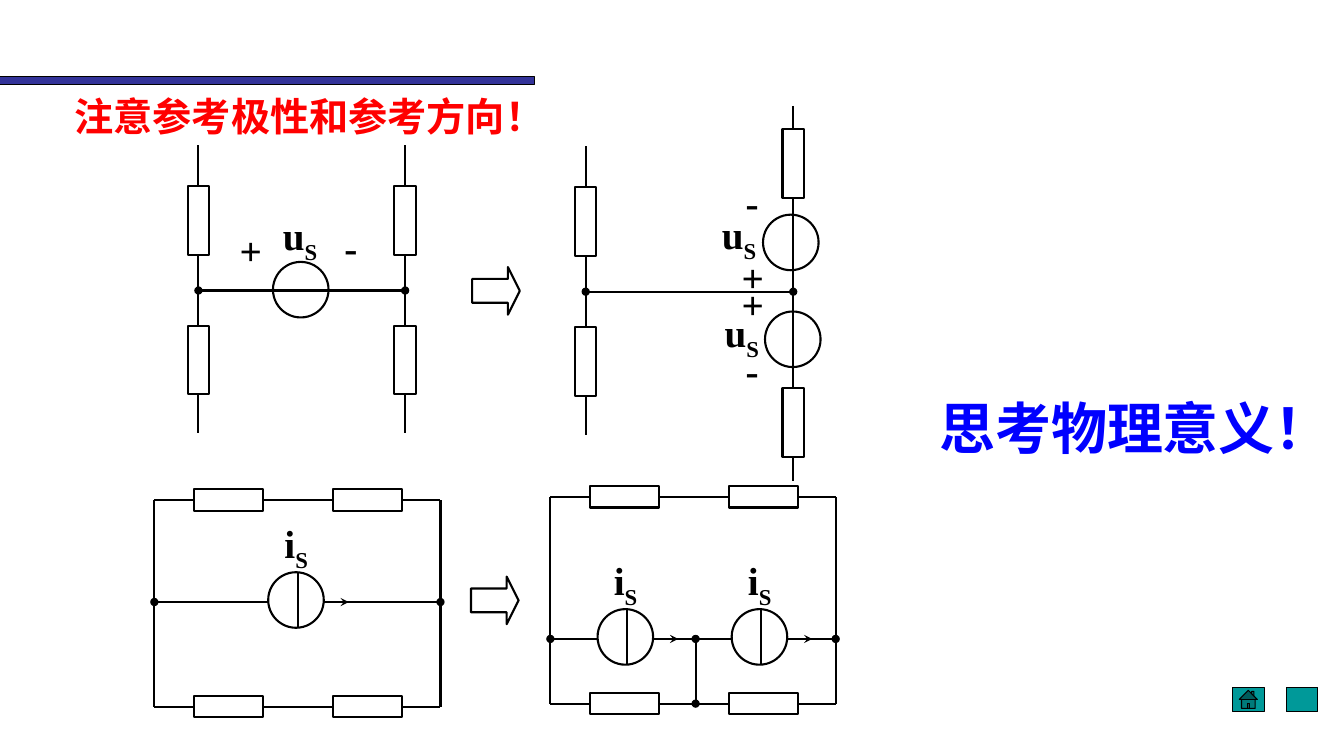
from collections import namedtuple

from lxml.etree import SubElement
from pptx import Presentation
from pptx.dml.color import RGBColor
from pptx.enum.shapes import MSO_CONNECTOR as Link, MSO_SHAPE as Form
from pptx.enum.text import MSO_AUTO_SIZE as Fit
from pptx.oxml.ns import qn
from pptx.util import Cm, Pt

BLACK = RGBColor(0, 0, 0)
RED = RGBColor(0xFF, 0, 0)
BLUE = RGBColor(0, 0, 0xFF)
NAVY = RGBColor(0x33, 0x33, 0x99)
TEAL = RGBColor(0, 0x99, 0x99)
LATIN_FONT = "Times New Roman"
CHINESE_FONT = "Noto Sans CJK SC"

LONG, SHORT = 1.73, 0.54
RADIUS = 0.7
NODE = 3.66

Box = namedtuple("Box", "left top width height")


def add_form(shapes, form, box, fill=None, line_width=1.5):
    shape = shapes.add_shape(form, *map(Cm, box))
    shape.shadow.inherit = False
    if fill is None:
        shape.fill.background()
    else:
        shape.fill.solid()
        shape.fill.fore_color.rgb = fill
    shape.line.color.rgb = BLACK
    shape.line.width = Pt(line_width)
    return shape


def add_wire(shapes, x1, y1, x2, y2, head=None, tail=None):
    wire = shapes.add_connector(Link.STRAIGHT, *map(Cm, (x1, y1, x2, y2)))
    wire.line.color.rgb = BLACK
    wire.line.width = Pt(1.5)
    line = wire.line._get_or_add_ln()
    for tag, end in (("a:headEnd", head), ("a:tailEnd", tail)):
        if end:
            SubElement(line, qn(tag)).set("type", end)
    SubElement(wire._element.spPr, qn("a:effectLst"))


def add_text(shapes, box, text, size, color, font, subscript="", wrap=True):
    frame = shapes.add_textbox(*map(Cm, box)).text_frame
    frame.word_wrap = wrap
    frame.auto_size = Fit.SHAPE_TO_FIT_TEXT
    para = frame.paragraphs[0]
    para.font.size = Pt(size)
    para.font.bold = True
    para.font.color.rgb = color
    para.font.name = font
    SubElement(para.font._rPr, qn("a:ea")).set("typeface", font)
    para.add_run().text = text
    if subscript:
        span = para.add_run()
        span.text = subscript
        span._r.get_or_add_rPr().set("baseline", "-25000")


def add_label(shapes, x, y, text):
    named = text in ("u", "i")
    box = Box(x, y, 1.42 if named else 1.19, 1.45)
    add_text(shapes, box, text, 28, BLACK, LATIN_FONT, "S" if named else "", text != "u")


def add_circle(shapes, x, y):
    add_form(shapes, Form.OVAL, Box(x - RADIUS, y - RADIUS, 2 * RADIUS, 2 * RADIUS))


def add_branch(shapes, x, top, stops):
    start, first, second, end = (top + stop for stop in stops)
    for y1, y2 in ((start, first), (first + LONG, second), (second + LONG, end)):
        add_wire(shapes, x, y1, x, y2)
    for y in (first, second):
        add_form(shapes, Form.RECTANGLE, Box(x - SHORT / 2, y, SHORT, LONG))


def add_plain_branch(shapes, x, top):
    add_branch(shapes, x, top, (0, 1.03, 4.55, 7.26))


def draw_shared_voltage_source(shapes, box):
    left, top, width, _ = box
    node = top + NODE
    add_wire(shapes, left, node, left + width, node, "oval", "oval")
    add_plain_branch(shapes, left, top)
    add_plain_branch(shapes, left + width, top)
    add_circle(shapes, left + 2.58, node - 0.02)
    for text, x, y in (("u", 1.88, 1.55), ("+", 0.79, 1.93), ("-", 3.43, 1.85)):
        add_label(shapes, left + x, top + y, text)


def draw_split_voltage_source(shapes, box):
    left, top, width, height = box
    plain_top = top + 1.02
    node = plain_top + NODE
    add_wire(shapes, left, node, left + width, node, "oval", "oval")
    add_plain_branch(shapes, left, plain_top)
    add_branch(shapes, left + width, top, (0, 0.58, 7.11, height))
    add_circle(shapes, left + 5.17, top + 3.44)
    add_circle(shapes, left + 5.22, top + 5.88)
    for text, x, y in (
        ("u", 3.18, 2.51), ("+", 3.68, 3.58), ("-", 3.78, 1.7),
        ("+", 3.68, 4.27), ("u", 3.25, 4.98), ("-", 3.78, 5.94),
    ):
        add_label(shapes, left + x, top + y, text)


def add_resistor_frame(shapes, box):
    left, top, width, height = box
    right = left + width
    first, second = left + 1, left + 4.51
    for x in (left, right):
        add_wire(shapes, x, top + height, x, top)
    for y in (top, top + height):
        for x1, x2 in ((left, first), (first + LONG, second), (second + LONG, right)):
            add_wire(shapes, x1, y, x2, y)
        for x in (first, second):
            add_form(shapes, Form.RECTANGLE, Box(x, y - SHORT / 2, LONG, SHORT))


def add_current_row(shapes, box, y, centers):
    right = box.left + box.width
    starts = [box.left] + [x + RADIUS for x in centers]
    ends = [x - RADIUS for x in centers] + [right]
    for x1, x2 in zip(starts, ends):
        add_wire(shapes, x1, y, x2, y, "oval" if x1 == box.left else None,
                 "oval" if x2 == right else None)
    for x in centers:
        add_circle(shapes, x, y - 0.05)
        add_wire(shapes, x + 0.04, y - 0.75, x + 0.04, y + 0.65)
        add_wire(shapes, x + RADIUS, y, x + 1.33, y, tail="stealth")
        add_label(shapes, x - 0.54, y - 2.2, "i")


def draw_shared_current_source(shapes, box):
    add_resistor_frame(shapes, box)
    add_current_row(shapes, box, box.top + 2.57, [box.left + 3.57])


def draw_split_current_source(shapes, box):
    add_resistor_frame(shapes, box)
    row = box.top + 3.58
    add_current_row(shapes, box, row, [box.left + 1.89, box.left + 5.27])
    middle = box.left + 3.66
    add_wire(shapes, middle, row, middle, box.top + box.height, "oval", "oval")


def draw_decoration(shapes, box):
    add_form(shapes, Form.RECTANGLE, Box(box.left, box.top + 1.93, 13.46, 0.2), NAVY, 0.75)
    for form, x in ((Form.ACTION_BUTTON_HOME, 31.06), (Form.ACTION_BUTTON_CUSTOM, 32.41)):
        add_form(shapes, form, Box(box.left + x, box.top + 17.32, 0.8, 0.61), TEAL, 0.75)


def main():
    deck = Presentation()
    deck.slide_width, deck.slide_height = Cm(33.87), Cm(19.05)
    page = deck.slides.add_slide(deck.slide_layouts[6])
    draw_decoration(page.shapes, Box(0, 0, 33.87, 19.05))
    for draw, box in (
        (draw_shared_voltage_source, Box(5, 3.66, 5.21, 7.26)),
        (draw_split_voltage_source, Box(14.76, 2.67, 5.23, 9.45)),
        (draw_shared_current_source, Box(3.89, 12.6, 7.21, 5.21)),
        (draw_split_current_source, Box(13.87, 12.52, 7.19, 5.21)),
    ):
        draw(page.shapes.add_group_shape().shapes, box)
    for x, y in ((11.9, 6.73), (11.87, 14.53)):
        arrow = add_form(page.shapes, Form.RIGHT_ARROW, Box(x, y, 1.2, 1.2))
        arrow.adjustments[1] = 0.25
    add_text(page.shapes, Box(1.63, 2.21, 12.88, 1.45), "注意参考极性和参考方向！",
             28, RED, CHINESE_FONT)
    add_text(page.shapes, Box(23.42, 9.78, 9.91, 1.96), "思考物理意义！",
             40, BLUE, CHINESE_FONT)
    deck.save("out.pptx")


if __name__ == "__main__":
    main()
